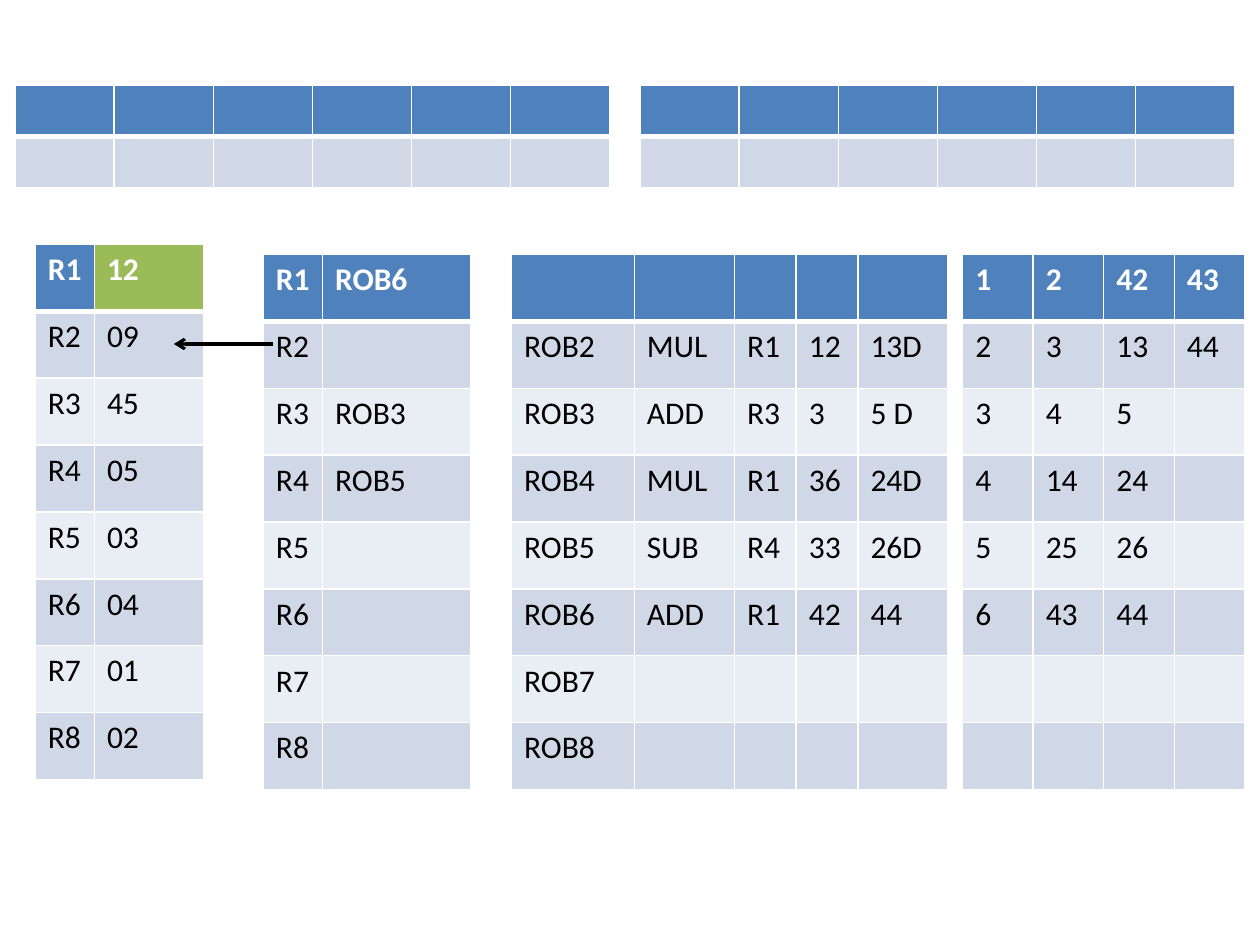
from lxml.etree import SubElement
from pptx import Presentation
from pptx.dml.color import RGBColor
from pptx.enum.shapes import MSO_CONNECTOR as Connector
from pptx.oxml.ns import qn
from pptx.util import Inches, Pt

BLUE = RGBColor(0x4F, 0x81, 0xBD)
GREEN = RGBColor(0x9B, 0xBB, 0x59)
DARK_BAND = RGBColor(0xD0, 0xD8, 0xE8)
LIGHT_BAND = RGBColor(0xE9, 0xED, 0xF4)
WHITE = RGBColor(0xFF, 0xFF, 0xFF)
BLACK = RGBColor(0x00, 0x00, 0x00)

deck = Presentation()
deck.slide_width, deck.slide_height = Inches(10), Inches(7.5)
page = deck.slides.add_slide(deck.slide_layouts[6])

# Grid of square units: 100 columns by 75 rows
COL = deck.slide_width / 100
ROW = deck.slide_height / 75


def add_border(cell, side, points):
    line = SubElement(cell._tc.get_or_add_tcPr(), qn(f"a:ln{side}"), w=str(Pt(points)))
    fill = SubElement(line, qn("a:solidFill"))
    SubElement(fill, qn("a:srgbClr"), val=str(WHITE))


def add_grid(left, top, widths, row_height, rows):
    frame = page.shapes.add_table(
        len(rows), len(widths), round(left * COL), round(top * ROW),
        round(sum(widths) * COL), round(len(rows) * row_height * ROW))
    table = frame.table
    for column, width in zip(table.columns, widths):
        column.width = round(width * COL)
    for r, values in enumerate(rows):
        table.rows[r].height = round(row_height * ROW)
        header = r == 0
        for c, value in enumerate(values):
            cell = table.cell(r, c)
            # A thick rule separates the header from the body
            for side, points in (("L", 1), ("R", 1), ("T", 3 if r == 1 else 1),
                                 ("B", 3 if header else 1)):
                add_border(cell, side, points)
            cell.fill.solid()
            cell.fill.fore_color.rgb = BLUE if header else DARK_BAND if r % 2 else LIGHT_BAND
            if value:
                span = cell.text_frame.paragraphs[0].add_run()
                span.text = value
                span.font.name, span.font.size = "Calibri", Pt(18)
                span.font.bold = header
                span.font.color.rgb = WHITE if header else BLACK
    return table


# Two empty pipeline strips
for strip_left in (1.2, 50.8):
    add_grid(strip_left, 6.8, [7.87] * 6, 4.06, [[""] * 6] * 2)

# Register values, with the updated one in green
names = [f"R{n}" for n in range(1, 9)]
values = ["12", "09", "45", "05", "03", "04", "01", "02"]
registers = add_grid(2.8, 19.4, [4.7, 8.7], 5.31, list(zip(names, values)))
registers.cell(0, 1).fill.fore_color.rgb = GREEN

# Rename table
renamed = {"R1": "ROB6", "R3": "ROB3", "R4": "ROB5"}
add_grid(20.9, 20.2, [4.7, 11.8], 5.31,
         [(name, renamed.get(name, "")) for name in names])

# Reorder buffer
add_grid(40.6, 20.2, [9.75, 7.95, 4.9, 4.9, 7.1], 5.31, [
    [""] * 5,
    ["ROB2", "MUL", "R1", "12", "13D"],
    ["ROB3", "ADD", "R3", "3", "5 D"],
    ["ROB4", "MUL", "R1", "36", "24D"],
    ["ROB5", "SUB", "R4", "33", "26D"],
    ["ROB6", "ADD", "R1", "42", "44"],
    ["ROB7"] + [""] * 4,
    ["ROB8"] + [""] * 4,
])

# Cycle numbers of each instruction
add_grid(76.4, 20.2, [5.6] * 4, 5.31, [
    ["1", "2", "42", "43"],
    ["2", "3", "13", "44"],
    ["3", "4", "5", ""],
    ["4", "14", "24", ""],
    ["5", "25", "26", ""],
    ["6", "43", "44", ""],
    [""] * 4,
    [""] * 4,
])

# Arrow from the rename table to the register values
arrow = page.shapes.add_connector(
    Connector.STRAIGHT, round(21.7 * COL), round(27.3 * ROW),
    round(13.8 * COL), round(27.3 * ROW))
arrow.line.color.rgb = BLACK
arrow.line.width = Pt(1.75)
SubElement(arrow.line._get_or_add_ln(), qn("a:tailEnd"), type="arrow")
SubElement(arrow._element.spPr, qn("a:effectLst"))

deck.save("out.pptx")
